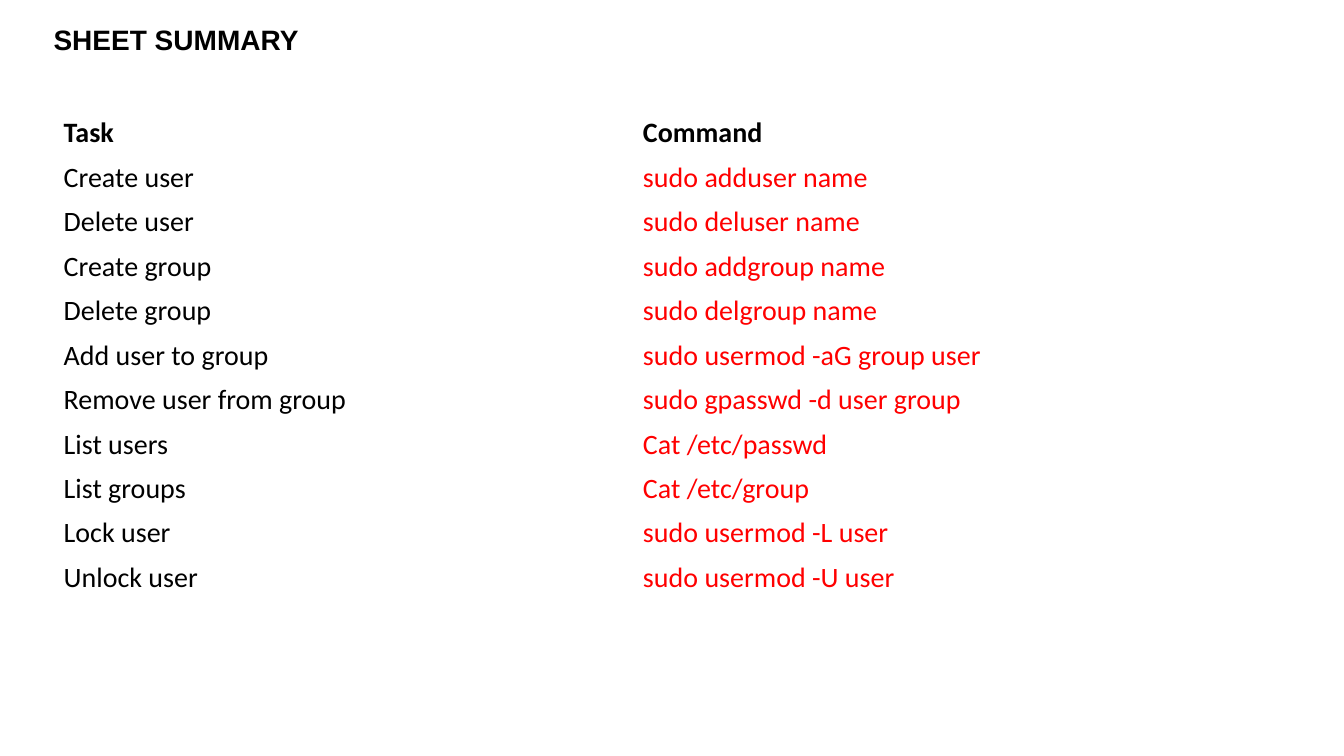
"""Build the sheet summary slide of user and group commands."""
from dataclasses import dataclass
from typing import Any

from pptx import Presentation
from pptx.dml.color import RGBColor
from pptx.enum.text import MSO_ANCHOR as Anchor, MSO_AUTO_SIZE as AutoSize
from pptx.util import Cm, Pt

COLORS = {"text": "000000", "command": "FF0000"}
COLUMN_WIDTH = 14.6
ROW_HEIGHT = 1.12


@dataclass(frozen=True)
class Entry:
    task: str
    command: str
    bold: bool = False
    command_color: str = "command"


ENTRIES = [
    Entry("Task", "Command", bold=True, command_color="text"),
    Entry("Create user", "sudo adduser name"),
    Entry("Delete user", "sudo deluser name"),
    Entry("Create group", "sudo addgroup name"),
    Entry("Delete group", "sudo delgroup name"),
    Entry("Add user to group", "sudo usermod -aG group user"),
    Entry("Remove user from group", "sudo gpasswd -d user group"),
    Entry("List users", "Cat /etc/passwd"),
    Entry("List groups", "Cat /etc/group"),
    Entry("Lock user", "sudo usermod -L user"),
    Entry("Unlock user", "sudo usermod -U user"),
]


def apply_format(target: Any, values: dict[str, Any]) -> None:
    for name, value in values.items():
        setattr(target, name, value)


def write_text(para: Any, text: str, font: str, color: str, bold: bool) -> None:
    span = para.add_run()
    span.text = text
    apply_format(span.font, {"name": font, "size": Pt(20), "bold": bold})
    span.font.color.rgb = RGBColor.from_string(COLORS[color])


def add_title(page: Any, text: str) -> None:
    box = page.shapes.add_textbox(Cm(1.1), Cm(0.45), Cm(6.75), Cm(1.88))
    apply_format(box.text_frame, {
        "word_wrap": False,
        "auto_size": AutoSize.NONE,
        "vertical_anchor": Anchor.TOP,
    })
    write_text(box.text_frame.paragraphs[0], text, "Arial", "text", True)


def add_commands(page: Any, entries: list[Entry]) -> None:
    table = page.shapes.add_table(
        len(entries), 2, Cm(1.35), Cm(2.8),
        Cm(2 * COLUMN_WIDTH), Cm(len(entries) * ROW_HEIGHT),
    ).table
    apply_format(table, {"first_row": False, "horz_banding": False})
    for column in table.columns:
        column.width = Cm(COLUMN_WIDTH)
    for row, entry in zip(table.rows, entries):
        row.height = Cm(ROW_HEIGHT)
        texts = [(entry.task, "text"), (entry.command, entry.command_color)]
        for cell, (text, color) in zip(row.cells, texts):
            cell.fill.background()
            cell.vertical_anchor = Anchor.MIDDLE
            para = cell.text_frame.paragraphs[0]
            write_text(para, text, "Calibri", color, entry.bold)


def main() -> None:
    deck = Presentation()
    apply_format(deck, {"slide_width": Cm(33.87), "slide_height": Cm(19.05)})
    page = deck.slides.add_slide(deck.slide_layouts[6])
    add_commands(page, ENTRIES)
    add_title(page, "SHEET SUMMARY")
    deck.save("out.pptx")


if __name__ == "__main__":
    main()
